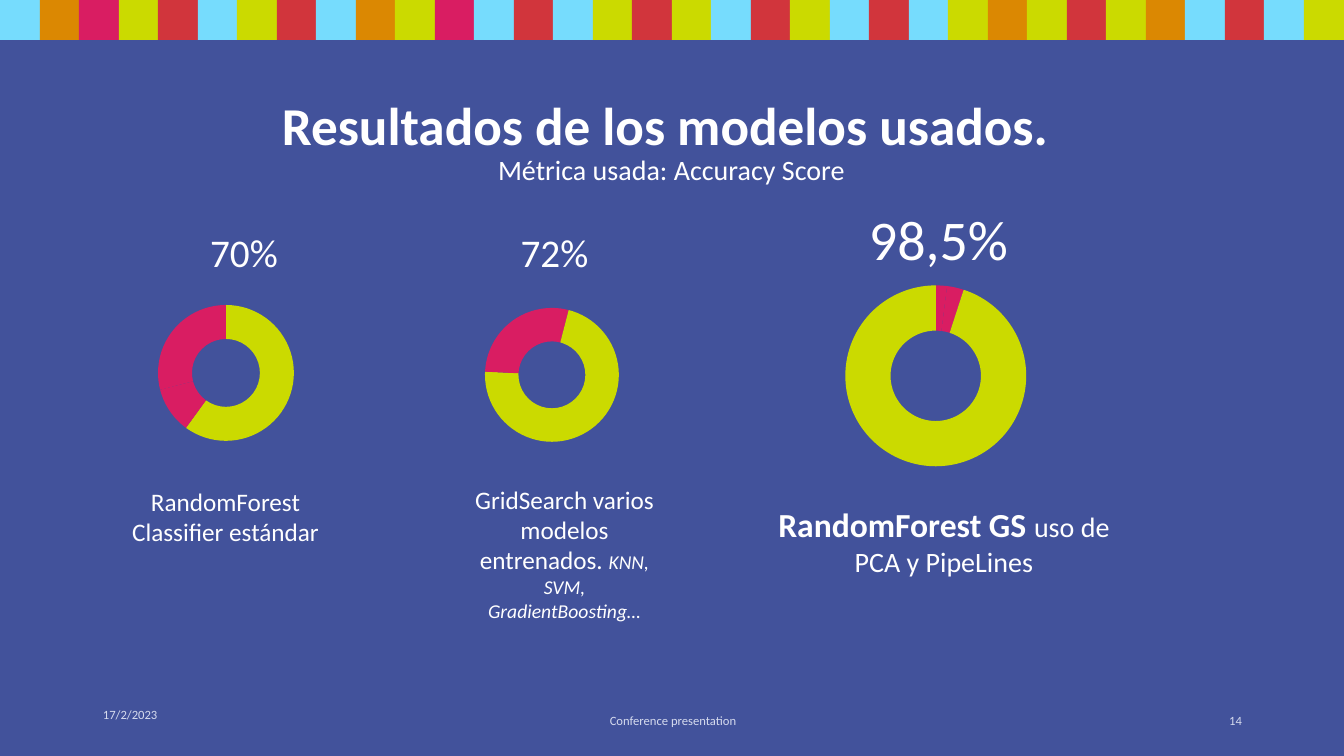
import pptx
import pptx.chart.data
import pptx.dml.color
import pptx.enum.chart
import pptx.enum.shapes
import pptx.enum.text
import pptx.util
from lxml import etree

PX = 914400 / 100.8
FONT, WHITE, PALE, BACK = "Calibri", "FFFFFF", "D6DBEE", "42529B"
LIME, PINK = "CBDA00", "D91D62"
COLORS = {"S": "76DCFD", "O": "DB8802", "P": PINK, "L": LIME, "R": "D1353C"}
STRIPES = "SOPLRSLRSOLPSRSLRLSRLSRSLOLRLOSRSL"
STRIPE_SIZE = 40

TITLE = ((155, 70, 1033, 146), [("Resultados de los modelos usados. ", 38, "b"),
                                ("Métrica usada: Accuracy Score", 20, "")])
CATEGORIES = ["1", "2", "3", "4"]
MODELS = [
    {"frame": (129, 291, 193, 163), "center": (226, 373), "ring": 136,
     "values": (0, 60, 11, 29), "lime": 1,
     "score": ((115, 193, 258, 88), [("70%", 28, "")]),
     "label": ((129, 480, 193, 72), [("RandomForest Classifier estándar", 18, "")])},
    {"frame": (446, 281, 238, 186), "center": (552, 375), "ring": 134,
     "values": (0, 4, 71, 24), "lime": 2,
     "score": ((426, 193, 257, 88), [("72%", 28, "")]),
     "label": ((468, 477, 193, 150), [("GridSearch varios modelos entrenados. ", 18, ""),
                                      ("KNN, SVM, GradientBoosting…", 14, "i")])},
    {"frame": (763, 271, 346, 209), "center": (936, 376), "ring": 181,
     "values": (0, 2, 3, 95), "lime": 3,
     "score": ((810, 190, 257, 88), [("98,5%", 40, "")]),
     "label": ((763, 467, 362, 116), [("RandomForest GS ", 24, "b"),
                                      ("uso de PCA y PipeLines", 20, "")])},
]
FOOTERS = [((93, 694, 302, 40), "17/2/2023", "LEFT"),
           ((446, 701, 454, 40), "Conference presentation", "CENTER"),
           ((950, 701, 302, 40), "14", "RIGHT")]


def box(*lengths):
    return [pptx.util.Emu(round(n * PX)) for n in lengths]


def rgb(value):
    return pptx.dml.color.RGBColor.from_string(value)


def write(sp, runs, color=WHITE, align="CENTER", anchor="MIDDLE", spacing=1.0, joint="", inset=10):
    tf = sp.text_frame
    tf.word_wrap = True
    tf.auto_size = pptx.enum.text.MSO_AUTO_SIZE.NONE
    tf.vertical_anchor = getattr(pptx.enum.text.MSO_ANCHOR, anchor)
    tf.margin_left = tf.margin_right = box(inset)[0]
    p = tf.paragraphs[0]
    p.alignment = getattr(pptx.enum.text.PP_ALIGN, align)
    p.line_spacing = spacing
    p.space_before = pptx.util.Pt(0)
    for i, (text, size, style) in enumerate(runs):
        if i and joint:
            p.add_line_break()
        r = p.add_run()
        r.text = text
        r.font.name, r.font.size = FONT, pptx.util.Pt(size)
        r.font.bold, r.font.italic = style == "b", style == "i"
        r.font.color.rgb = rgb(color)


def add_text(s, place, runs, **options):
    write(s.shapes.add_textbox(*box(*place)), runs, **options)


def add_stripes(s):
    pitch = (1344 - STRIPE_SIZE) / (len(STRIPES) - 1)
    for i, key in enumerate(STRIPES):
        sp = s.shapes.add_shape(pptx.enum.shapes.MSO_SHAPE.RECTANGLE,
                                *box(round(i * pitch), 0, STRIPE_SIZE, STRIPE_SIZE))
        sp.shadow.inherit = False
        sp.fill.solid()
        sp.fill.fore_color.rgb = rgb(COLORS[key])
        sp.line.fill.background()


def place_ring(chart, model):
    left, top, width, height = model["frame"]
    (cx, cy), ring = model["center"], model["ring"]
    sizes = {"x": (cx - ring / 2 - left) / width, "y": (cy - ring / 2 - top) / height,
             "w": ring / width, "h": ring / height}
    plot_area = chart.plots[0]._element.getparent()
    ns = etree.QName(plot_area).namespace
    for old in plot_area.findall(f"{{{ns}}}layout"):
        plot_area.remove(old)
    layout = etree.Element(f"{{{ns}}}layout")
    manual = etree.SubElement(layout, f"{{{ns}}}manualLayout")
    settings = [("layoutTarget", "inner"), ("xMode", "edge"), ("yMode", "edge")]
    for tag, value in settings + [(k, f"{v:.3f}") for k, v in sizes.items()]:
        etree.SubElement(manual, f"{{{ns}}}{tag}").set("val", value)
    plot_area.insert(0, layout)
    plot_area.find(f".//{{{ns}}}holeSize").set("val", "75")


def add_ring(s, model):
    data = pptx.chart.data.CategoryChartData()
    data.categories = CATEGORIES
    data.add_series("Series 1", model["values"])
    chart = s.shapes.add_chart(pptx.enum.chart.XL_CHART_TYPE.DOUGHNUT,
                               *box(*model["frame"]), data).chart
    chart.has_legend = chart.has_title = False
    chart.font.name, chart.font.size = FONT, pptx.util.Pt(10)
    chart.font.color.rgb = rgb("000000")
    plot = chart.plots[0]
    plot.vary_by_categories = True
    plot.has_data_labels = False
    for i in range(len(CATEGORIES)):
        look = plot.series[0].points[i].format
        look.fill.solid()
        look.fill.fore_color.rgb = rgb(LIME if i == model["lime"] else PINK)
        look.line.fill.background()
    place_ring(chart, model)


def main():
    """Build the slide that compares the accuracy of three models."""
    prs = pptx.Presentation()
    prs.slide_width, prs.slide_height = box(1344, 756)
    s = prs.slides.add_slide(prs.slide_layouts[5])
    s.background.fill.solid()
    s.background.fill.fore_color.rgb = rgb(BACK)
    add_stripes(s)
    for model in MODELS:
        add_ring(s, model)
        add_text(s, *model["score"], anchor="BOTTOM", spacing=0.9, inset=0)
        add_text(s, *model["label"], anchor="BOTTOM", inset=0)
    for place, text, align in FOOTERS:
        add_text(s, place, [(text, 9, "")], color=PALE, align=align)
    title = s.shapes.title
    title.left, title.top, title.width, title.height = box(*TITLE[0])
    write(title, TITLE[1], spacing=0.9, joint="\n")
    prs.save("out.pptx")


if __name__ == "__main__":
    main()
